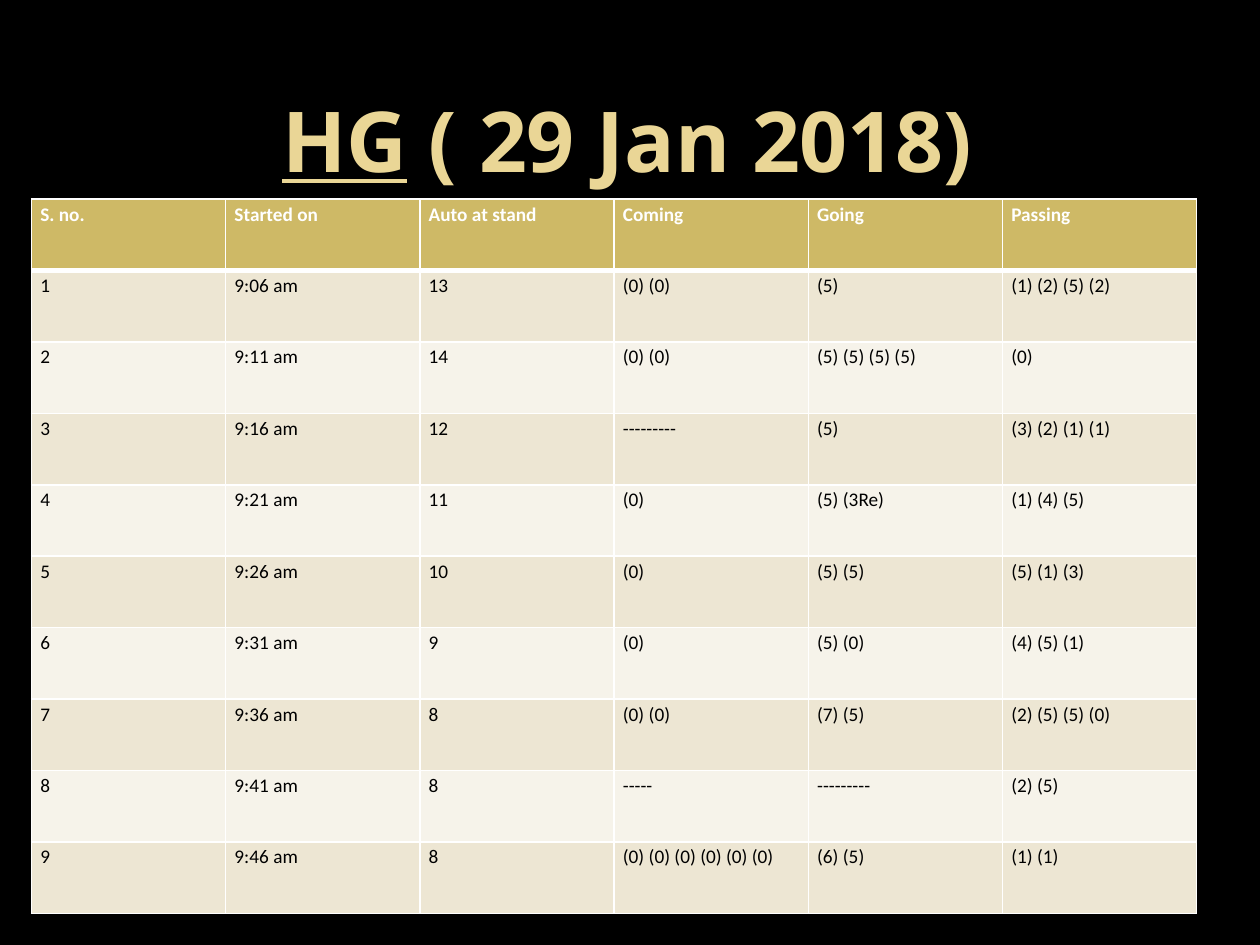
from lxml.etree import SubElement
from pptx import Presentation
from pptx.dml.color import RGBColor
from pptx.enum.text import MSO_ANCHOR, MSO_AUTO_SIZE, PP_ALIGN
from pptx.oxml.ns import qn
from pptx.util import Inches, Pt

HEADINGS = ["S. no.", "Started on", "Auto at stand", "Coming", "Going", "Passing"]
OBSERVATIONS = [
    ["1", "9:06 am", "13", "(0) (0)", "(5)", "(1) (2) (5) (2)"],
    ["2", "9:11 am", "14", "(0) (0)", "(5) (5) (5) (5)", "(0)"],
    ["3", "9:16 am", "12", "---------", "(5)", "(3) (2) (1) (1)"],
    ["4", "9:21 am", "11", "(0)", "(5) (3Re)", "(1) (4) (5)"],
    ["5", "9:26 am", "10", "(0)", "(5) (5)", "(5) (1) (3)"],
    ["6", "9:31 am", "9", "(0)", "(5) (0)", "(4) (5) (1)"],
    ["7", "9:36 am", "8", "(0) (0)", "(7) (5)", "(2) (5) (5) (0)"],
    ["8", "9:41 am", "8", "-----", "---------", "(2) (5)"],
    ["9", "9:46 am", "8", "(0) (0) (0) (0) (0) (0)", "(6) (5)", "(1) (1)"],
]


def color(hex_value):
    return RGBColor.from_string(hex_value)


class SlideBuilder:
    title_font, table_font = "Open Sans", "Calibri"
    background, title_color = "000000", "EAD696"
    header_fill, band_fills = "CEB966", ("EDE6D3", "F6F3EA")
    header_text, body_text, border = "FFFFFF", "000000", "FFFFFF"

    def __init__(self, slide):
        self.slide = slide
        fill = slide.background.fill
        fill.solid()
        fill.fore_color.rgb = color(self.background)

    def format_run(self, run, font, size, hex_value, bold):
        run.font.name = font
        run.font.size = Pt(size)
        run.font.bold = bold
        run.font.color.rgb = color(hex_value)

    def add_title(self, underlined, rest):
        title = self.slide.shapes.title
        title.left, title.top = Inches(1.17), Inches(0.33)
        title.width, title.height = Inches(7.62), Inches(1.17)
        frame = title.text_frame
        frame.auto_size = MSO_AUTO_SIZE.NONE
        frame.word_wrap = True
        frame.vertical_anchor = MSO_ANCHOR.BOTTOM
        frame.margin_left = frame.margin_right = Inches(0.05)
        frame.margin_top = frame.margin_bottom = 0
        paragraph = frame.paragraphs[0]
        paragraph.alignment = PP_ALIGN.CENTER
        paragraph.line_spacing = 1.0
        for text, underline in ((underlined, True), (rest, False)):
            run = paragraph.add_run()
            run.text = text
            run.font.underline = underline
            self.format_run(run, self.title_font, 48, self.title_color, True)

    def add_borders(self, cell, top, bottom):
        """Draw the four cell borders; top and bottom are widths in points."""
        properties = cell._tc.get_or_add_tcPr()
        for side, width in (("L", 1), ("R", 1), ("T", top), ("B", bottom)):
            line = SubElement(properties, qn(f"a:ln{side}"), w=str(Pt(width)))
            solid = SubElement(line, qn("a:solidFill"))
            SubElement(solid, qn("a:srgbClr"), val=self.border)

    def format_cell(self, cell, text, row):
        is_header = row == 0
        cell.text = text
        cell.margin_left = cell.margin_right = Inches(0.07)
        cell.margin_top = cell.margin_bottom = 0
        self.add_borders(cell, 3 if row == 1 else 1, 3 if is_header else 1)
        cell.fill.solid()
        fill = self.header_fill if is_header else self.band_fills[(row - 1) % 2]
        cell.fill.fore_color.rgb = color(fill)
        paragraph = cell.text_frame.paragraphs[0]
        paragraph.line_spacing = 1.15
        text_color = self.header_text if is_header else self.body_text
        self.format_run(paragraph.runs[0], self.table_font, 11, text_color, is_header)

    def add_table(self, rows, left, top, width, height):
        table = self.slide.shapes.add_table(
            len(rows), len(rows[0]),
            Inches(left), Inches(top), Inches(width), Inches(height),
        ).table
        for row, texts in enumerate(rows):
            for column, text in enumerate(texts):
                self.format_cell(table.cell(row, column), text, row)


def main():
    presentation = Presentation()
    presentation.slide_width, presentation.slide_height = Inches(10), Inches(7.5)
    title_only = presentation.slide_layouts[5]
    builder = SlideBuilder(presentation.slides.add_slide(title_only))
    builder.add_title("HG", " ( 29 Jan 2018)")
    builder.add_table([HEADINGS] + OBSERVATIONS, 0.25, 1.58, 9.25, 5.67)
    presentation.save("out.pptx")


if __name__ == "__main__":
    main()
